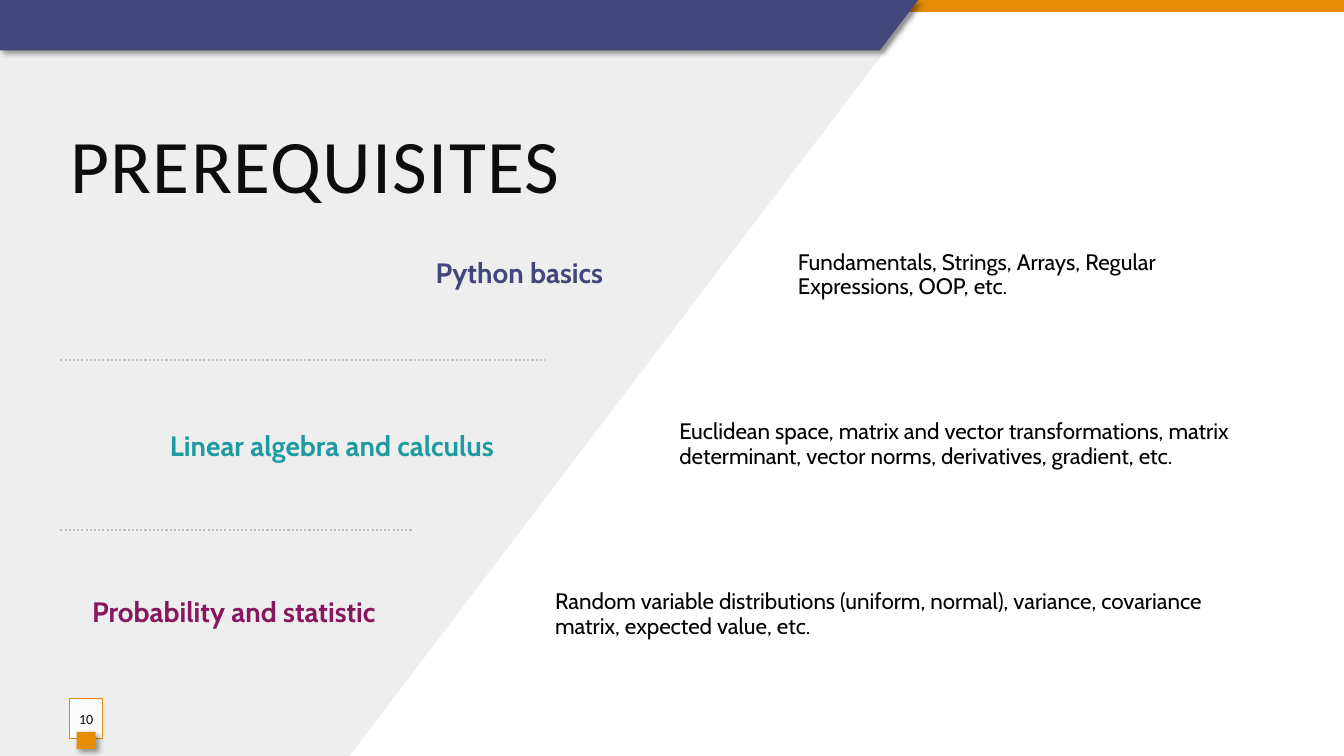
from lxml import etree
from pptx import Presentation
from pptx.dml.color import RGBColor
from pptx.enum.dml import MSO_LINE
from pptx.enum.shapes import MSO_CONNECTOR, MSO_SHAPE
from pptx.enum.text import MSO_ANCHOR, PP_ALIGN
from pptx.oxml import parse_xml
from pptx.oxml.ns import qn
from pptx.util import Cm, Pt

DOTTED = MSO_LINE.ROUND_DOT
STRAIGHT = MSO_CONNECTOR.STRAIGHT
RECTANGLE = MSO_SHAPE.RECTANGLE
TOP, MIDDLE = MSO_ANCHOR.TOP, MSO_ANCHOR.MIDDLE
LEFT, CENTER, RIGHT = PP_ALIGN.LEFT, PP_ALIGN.CENTER, PP_ALIGN.RIGHT

WHITE = RGBColor(0xFF, 0xFF, 0xFF)
BLACK = RGBColor(0x00, 0x00, 0x00)
INK = RGBColor(0x0D, 0x0D, 0x0D)
PALE = RGBColor(0xEE, 0xEE, 0xEE)
GRAY = RGBColor(0xBF, 0xBF, 0xBF)
ORANGE = RGBColor(0xE5, 0x8C, 0x09)
INDIGO = RGBColor(0x43, 0x46, 0x7B)
TEAL = RGBColor(0x1D, 0x9B, 0xA1)
PLUM = RGBColor(0x87, 0x17, 0x5F)

WIDTH, HEIGHT = 33.87, 19.05
MARGIN = 1.52
BODY_RIGHT = 31.85
ROW_TOP, ROW_STEP = 5.66, 4.28
DIVIDER_TOP = 9.07

SHADOW = (
    '<a:outerShdw xmlns:a="http://schemas.openxmlformats.org/drawingml/2006/main" '
    'blurRad="50800" dist="38100" dir="2700000" algn="tl" rotWithShape="0">'
    '<a:srgbClr val="000000"><a:alpha val="40000"/></a:srgbClr></a:outerShdw>'
)

TOPICS = [
    ("Python basics", INDIGO, (1.73, 6.32, 13.72),
     "Fundamentals, Strings, Arrays, Regular Expressions, OOP, etc.", 19.86),
    ("Linear algebra and calculus", TEAL, (MARGIN, 10.69, 11.18),
     "Euclidean space, matrix and vector transformations, matrix determinant, "
     "vector norms, derivatives, gradient, etc.", 16.87),
    ("Probability and statistic", PLUM, (MARGIN, 14.88, 8.2),
     "Random variable distributions (uniform, normal), variance, covariance "
     "matrix, expected value, etc.", 13.74),
]


class SlideBuilder:
    """Draws styled elements on the current slide, with lengths in centimetres."""

    def __init__(self, slide):
        self.slide = slide
        self.heading_font = "Calibri"
        self.body_font = "Cabin"

    def finish(self, shape, fill, shadow=False):
        shape.fill.solid()
        shape.fill.fore_color.rgb = fill
        shape.line.fill.background()
        shape.shadow.inherit = False
        if shadow:
            effects = shape._element.spPr.find(qn("a:effectLst"))
            effects.append(parse_xml(SHADOW))
        return shape

    def polygon(self, points, fill, shadow=False):
        corners = [(Cm(x), Cm(y)) for x, y in points]
        builder = self.slide.shapes.build_freeform(*corners[0], scale=1.0)
        builder.add_line_segments(corners[1:], close=True)
        return self.finish(builder.convert_to_shape(), fill, shadow)

    def rectangle(self, box, fill, shadow=False):
        shape = self.slide.shapes.add_shape(RECTANGLE, *map(Cm, box))
        return self.finish(shape, fill, shadow)

    def add_text(self, shape, text, font, size, color, align=LEFT, anchor=MIDDLE, bold=False):
        frame = shape.text_frame
        frame.word_wrap = True
        frame.vertical_anchor = anchor
        paragraph = frame.paragraphs[0]
        paragraph.alignment = align
        run = paragraph.add_run()
        run.text = text
        run.font.name = font
        run.font.size = Pt(size)
        run.font.bold = bold
        run.font.color.rgb = color
        return paragraph

    def text_box(self, box):
        return self.slide.shapes.add_textbox(*map(Cm, box))

    def title(self, box, text):
        shape = self.text_box(box)
        shape.text_frame.margin_top = Cm(0.22)
        paragraph = self.add_text(shape, text, self.heading_font, 54, INK, anchor=TOP)
        paragraph.runs[0].font._element.set("spc", "100")

    def body(self, box, text, size, color, align=LEFT, bold=False):
        shape = self.text_box(box)
        paragraph = self.add_text(shape, text, self.body_font, size, color, align, bold=bold)
        paragraph.line_spacing = 0.9
        paragraph.space_after = Pt(2)

    def page_number(self, box, text):
        shape = self.rectangle(box, WHITE)
        color = shape._element.spPr.find(qn("a:solidFill"))[0]
        etree.SubElement(color, qn("a:alpha"), val="82000")
        shape.line.color.rgb = ORANGE
        shape.line.width = Pt(0.75)
        shape.text_frame.margin_left = shape.text_frame.margin_right = 0
        self.add_text(shape, text, self.heading_font, 10, INK, CENTER)

    def divider(self, left, right, top):
        line = self.slide.shapes.add_connector(
            STRAIGHT, Cm(left), Cm(top), Cm(right), Cm(top))
        line.line.color.rgb = GRAY
        line.line.width = Pt(1.5)
        line.line.dash_style = DOTTED
        etree.SubElement(line._element.spPr, qn("a:effectLst"))


def main():
    presentation = Presentation()
    presentation.slide_width = Cm(WIDTH)
    presentation.slide_height = Cm(HEIGHT)
    builder = SlideBuilder(presentation.slides.add_slide(presentation.slide_layouts[6]))

    builder.polygon([(0, 0), (23.14, 0), (23.14, 0.18), (8.81, HEIGHT), (0, HEIGHT)], PALE)
    builder.rectangle((0, 0, WIDTH, 0.3), ORANGE)
    builder.polygon([(0, 0), (23.14, 0), (22.17, 1.27), (0, 1.27)], INDIGO, shadow=True)
    builder.title((MARGIN, 2.74, 30.02, 1.96), "PREREQUISITES")

    for row, (topic, color, (left, top, width), details, details_left) in enumerate(TOPICS):
        builder.body((left, top, width, 1.17), topic, 20, color, RIGHT, bold=True)
        details_box = (details_left, ROW_TOP + row * ROW_STEP, BODY_RIGHT - details_left, 2.54)
        builder.body(details_box, details, 16, BLACK)

    for row, right in enumerate((13.72, 10.41)):
        builder.divider(MARGIN, right, DIVIDER_TOP + row * ROW_STEP)

    builder.page_number((1.75, 17.6, 0.84, 1.02), "10")
    builder.rectangle((1.93, 18.44, 0.48, 0.43), ORANGE, shadow=True)
    presentation.save("out.pptx")


if __name__ == "__main__":
    main()
